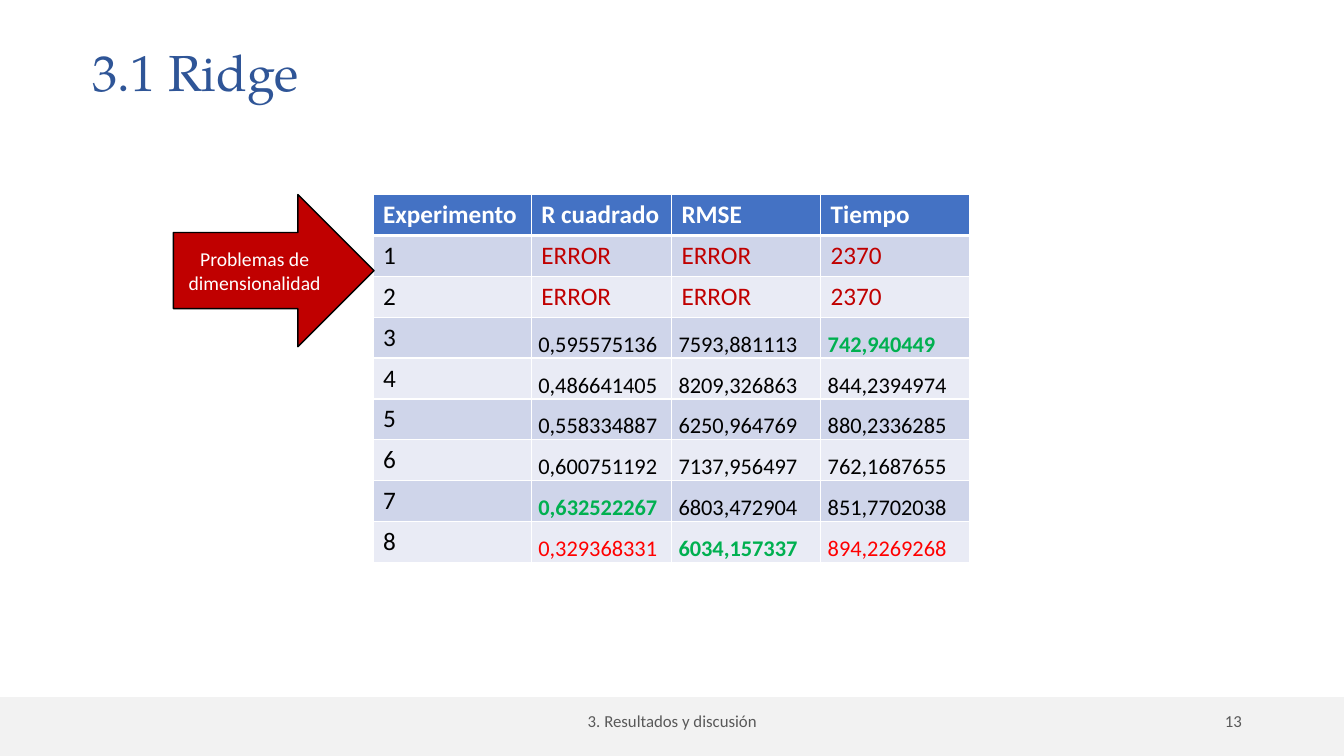
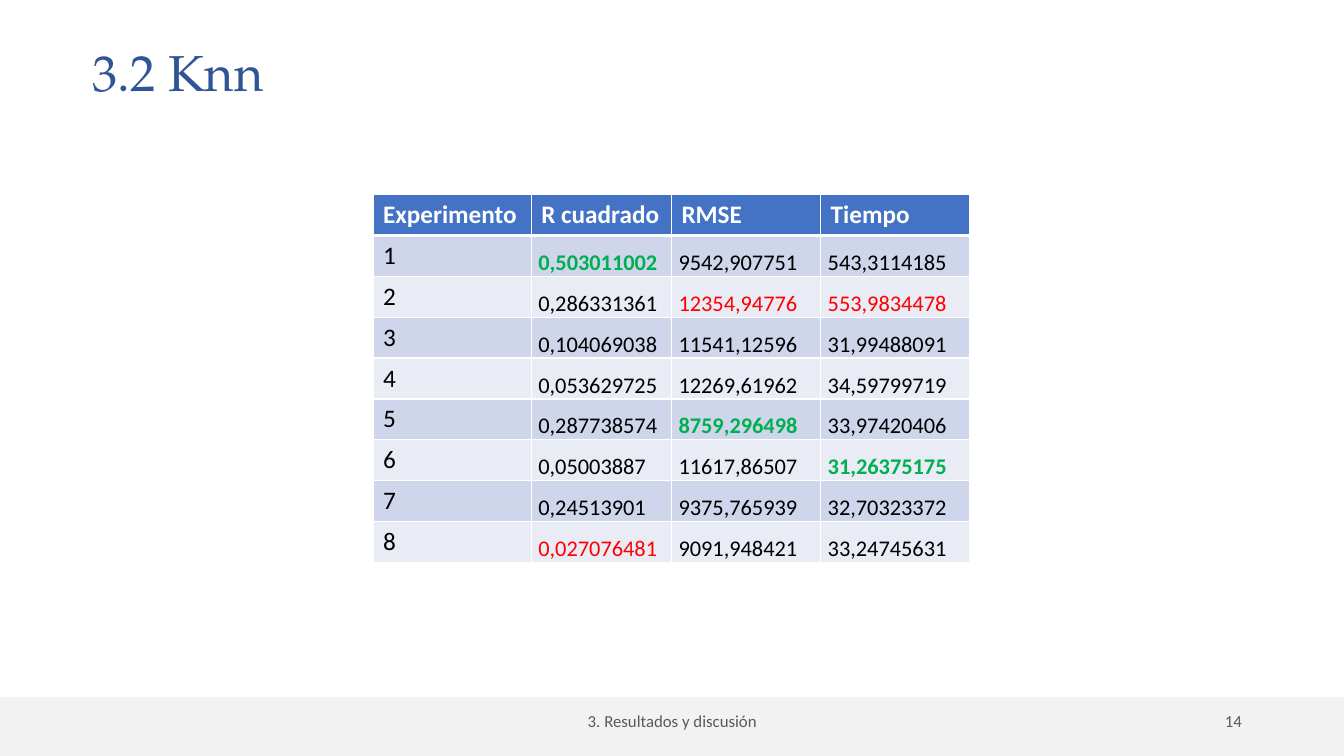
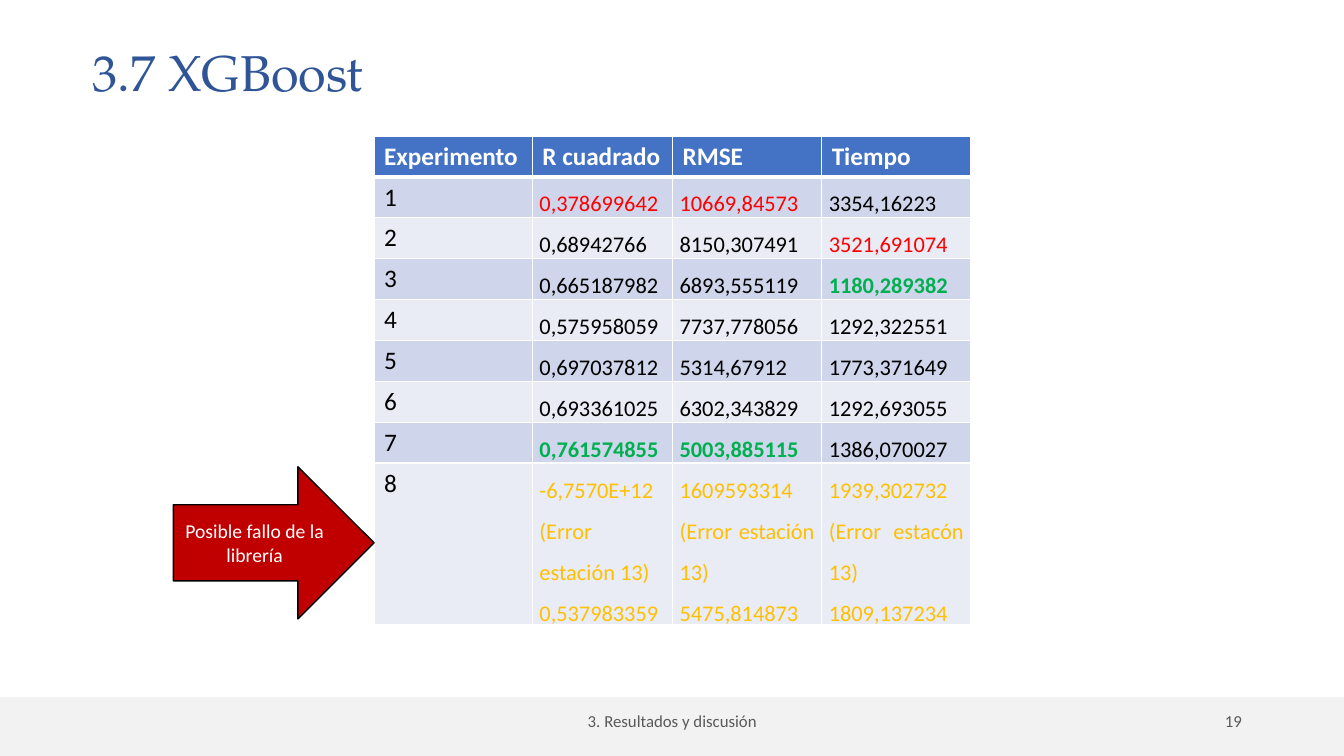
import dataclasses

import lxml.etree
import pptx
import pptx.dml.color
import pptx.enum.shapes
import pptx.enum.text
import pptx.oxml.ns
import pptx.util

ALIGN = pptx.enum.text.PP_ALIGN
ANCHOR = pptx.enum.text.MSO_ANCHOR
SHAPE = pptx.enum.shapes.MSO_SHAPE


@dataclasses.dataclass(frozen=True)
class Theme:
    title_font: str = "TeX Gyre Pagella"
    body_font: str = "Calibri"
    # Type sizes in points
    title_size: int = 36
    label_size: int = 18
    value_size: int = 16
    callout_size: int = 14
    footer_size: int = 12
    # Colours
    title: str = "2F5597"
    white: str = "FFFFFF"
    black: str = "000000"
    band: str = "F2F2F2"
    footer: str = "595959"
    header: str = "4472C4"
    stripes: tuple = ("CFD5EA", "E9EBF5")
    alert: str = "C00000"
    best: str = "00B050"
    worst: str = "FF0000"
    doubtful: str = "FFC000"


def rgb(code):
    return pptx.dml.color.RGBColor.from_string(code)


class Deck:
    """Style and current slide; lengths are percentages of the slide size."""

    def __init__(self, theme, section):
        self.theme = theme
        self.section = section
        self.file = pptx.Presentation()
        self.file.slide_width = pptx.util.Inches(13.33)
        self.file.slide_height = pptx.util.Inches(7.5)
        self.slide = None

    def across(self, share):
        return round(self.file.slide_width * share / 100)

    def down(self, share):
        return round(self.file.slide_height * share / 100)

    def area(self, left, top, width, height):
        return self.across(left), self.down(top), self.across(width), self.down(height)

    def set_text(self, frame, text, size, color, font=None, bold=False, align=ALIGN.LEFT, spacing=None):
        frame.word_wrap = True
        frame.text = text
        for paragraph in frame.paragraphs:
            paragraph.alignment = align
            if spacing:
                paragraph.line_spacing = spacing
            paragraph.font.name = font or self.theme.body_font
            paragraph.font.size = pptx.util.Pt(size)
            paragraph.font.bold = bold
            paragraph.font.color.rgb = rgb(color)

    def text(self, area, text, size, color, anchor=ANCHOR.MIDDLE, **style):
        frame = self.slide.shapes.add_textbox(*self.area(*area)).text_frame
        frame.vertical_anchor = anchor
        self.set_text(frame, text, size, color, **style)

    def shape(self, kind, area, fill, line):
        shape = self.slide.shapes.add_shape(kind, *self.area(*area))
        shape.shadow.inherit = False
        shape.fill.solid()
        shape.fill.fore_color.rgb = rgb(fill)
        shape.line.color.rgb = rgb(line)
        shape.line.width = pptx.util.Pt(1)
        return shape

    def new_slide(self, title, number):
        theme = self.theme
        self.slide = self.file.slides.add_slide(self.file.slide_layouts[6])
        self.text((6.15, 4.93, 83.25, 9.33), title, theme.title_size, theme.title,
                  anchor=ANCHOR.BOTTOM, font=theme.title_font, spacing=0.9)
        # Footer band, section and page number
        self.shape(SHAPE.RECTANGLE, (0, 92.27, 100, 7.73), theme.band, theme.band)
        self.text((33.15, 92.67, 33.75, 5.33), self.section,
                  theme.footer_size, theme.footer, align=ALIGN.CENTER)
        self.text((70.65, 92.67, 22.5, 5.33), str(number),
                  theme.footer_size, theme.footer, align=ALIGN.RIGHT)

    def callout(self, top, text):
        theme = self.theme
        arrow = self.shape(SHAPE.RIGHT_ARROW, (12.9, top, 14.93, 20.13), theme.alert, theme.black)
        arrow.text_frame.vertical_anchor = ANCHOR.MIDDLE
        self.set_text(arrow.text_frame, text, theme.callout_size, theme.white, align=ALIGN.CENTER)

    def borders(self, cell, top, bottom):
        properties = cell._tc.get_or_add_tcPr()
        for side, points in (("L", 1), ("R", 1), ("T", top), ("B", bottom)):
            line = lxml.etree.SubElement(properties, pptx.oxml.ns.qn(f"a:ln{side}"),
                                         w=str(pptx.util.Pt(points)))
            fill = lxml.etree.SubElement(line, pptx.oxml.ns.qn("a:solidFill"))
            lxml.etree.SubElement(fill, pptx.oxml.ns.qn("a:srgbClr"), val=self.theme.white)

    def value(self, cell, text, tone):
        theme = self.theme
        cell.margin_left = cell.margin_right = self.across(0.53)
        cell.margin_top = cell.margin_bottom = 0
        color = getattr(theme, tone) if tone else theme.black
        self.set_text(cell.text_frame, text, theme.value_size, color,
                      bold=tone == "best", align=ALIGN.JUSTIFY, spacing=1.5)

    def results(self, left, top, experiments, tones):
        """Experiments are numbered from 1; tones maps (experiment, column) to a colour."""
        theme = self.theme
        widths = (11.78, 10.43, 11.1, 11.1)
        rows = [HEADINGS] + [(str(n), *values) for n, values in enumerate(experiments, 1)]
        row_height = 5.41
        area = self.area(left, top, sum(widths), row_height * len(rows))
        table = self.slide.shapes.add_table(len(rows), len(widths), *area).table
        for column, width in zip(table.columns, widths):
            column.width = self.across(width)
        for r, row in enumerate(rows):
            table.rows[r].height = self.down(row_height)
            for c, text in enumerate(row):
                cell = table.cell(r, c)
                self.borders(cell, top=3 if r == 1 else 1, bottom=3 if r == 0 else 1)
                cell.fill.solid()
                cell.fill.fore_color.rgb = rgb(theme.stripes[(r - 1) % 2] if r else theme.header)
                tone = tones.get((r, c))
                if r == 0:
                    self.set_text(cell.text_frame, text, theme.label_size, theme.white, bold=True)
                elif c == 0 or tone == "alert":
                    color = theme.alert if tone else theme.black
                    self.set_text(cell.text_frame, text, theme.label_size, color)
                else:
                    self.value(cell, text, tone)


HEADINGS = ("Experimento", "R cuadrado", "RMSE", "Tiempo")
FAILED = ("ERROR", "ERROR", "2370")

RIDGE = [
    FAILED,
    FAILED,
    ("0,595575136", "7593,881113", "742,940449"),
    ("0,486641405", "8209,326863", "844,2394974"),
    ("0,558334887", "6250,964769", "880,2336285"),
    ("0,600751192", "7137,956497", "762,1687655"),
    ("0,632522267", "6803,472904", "851,7702038"),
    ("0,329368331", "6034,157337", "894,2269268"),
]
RIDGE_TONES = {(row, column): "alert" for row in (1, 2) for column in (1, 2, 3)}
RIDGE_TONES |= {(3, 3): "best", (7, 1): "best", (8, 1): "worst", (8, 2): "best", (8, 3): "worst"}

KNN = [
    ("0,503011002", "9542,907751", "543,3114185"),
    ("0,286331361", "12354,94776", "553,9834478"),
    ("0,104069038", "11541,12596", "31,99488091"),
    ("0,053629725", "12269,61962", "34,59799719"),
    ("0,287738574", "8759,296498", "33,97420406"),
    ("0,05003887", "11617,86507", "31,26375175"),
    ("0,24513901", "9375,765939", "32,70323372"),
    ("0,027076481", "9091,948421", "33,24745631"),
]
KNN_TONES = {(1, 1): "best", (2, 2): "worst", (2, 3): "worst",
             (5, 2): "best", (6, 3): "best", (8, 1): "worst"}

XGBOOST = [
    ("0,378699642", "10669,84573", "3354,16223"),
    ("0,68942766", "8150,307491", "3521,691074"),
    ("0,665187982", "6893,555119", "1180,289382"),
    ("0,575958059", "7737,778056", "1292,322551"),
    ("0,697037812", "5314,67912", "1773,371649"),
    ("0,693361025", "6302,343829", "1292,693055"),
    ("0,761574855", "5003,885115", "1386,070027"),
    ("-6,7570E+12\n(Error estación 13)\n0,537983359",
     "1609593314\n(Error estación 13)\n5475,814873",
     "1939,302732\n(Error estacón 13)\n1809,137234"),
]
XGBOOST_TONES = {(1, 1): "worst", (1, 2): "worst", (2, 3): "worst",
                 (3, 3): "best", (7, 1): "best", (7, 2): "best"}
XGBOOST_TONES |= {(8, column): "doubtful" for column in (1, 2, 3)}


def main():
    deck = Deck(Theme(), "3. Resultados y discusión")

    # Ridge
    deck.new_slide("3.1 Ridge", 13)
    deck.results(27.75, 25.73, RIDGE, RIDGE_TONES)
    deck.callout(25.73, "Problemas de dimensionalidad")

    # Nearest neighbours
    deck.new_slide("3.2 Knn", 14)
    deck.results(27.75, 25.73, KNN, KNN_TONES)

    # Gradient boosting
    deck.new_slide("3.7 XGBoost", 19)
    deck.results(27.83, 18, XGBOOST, XGBOOST_TONES)
    deck.callout(61.73, "Posible fallo de la librería")

    deck.file.save("out.pptx")


if __name__ == "__main__":
    main()
